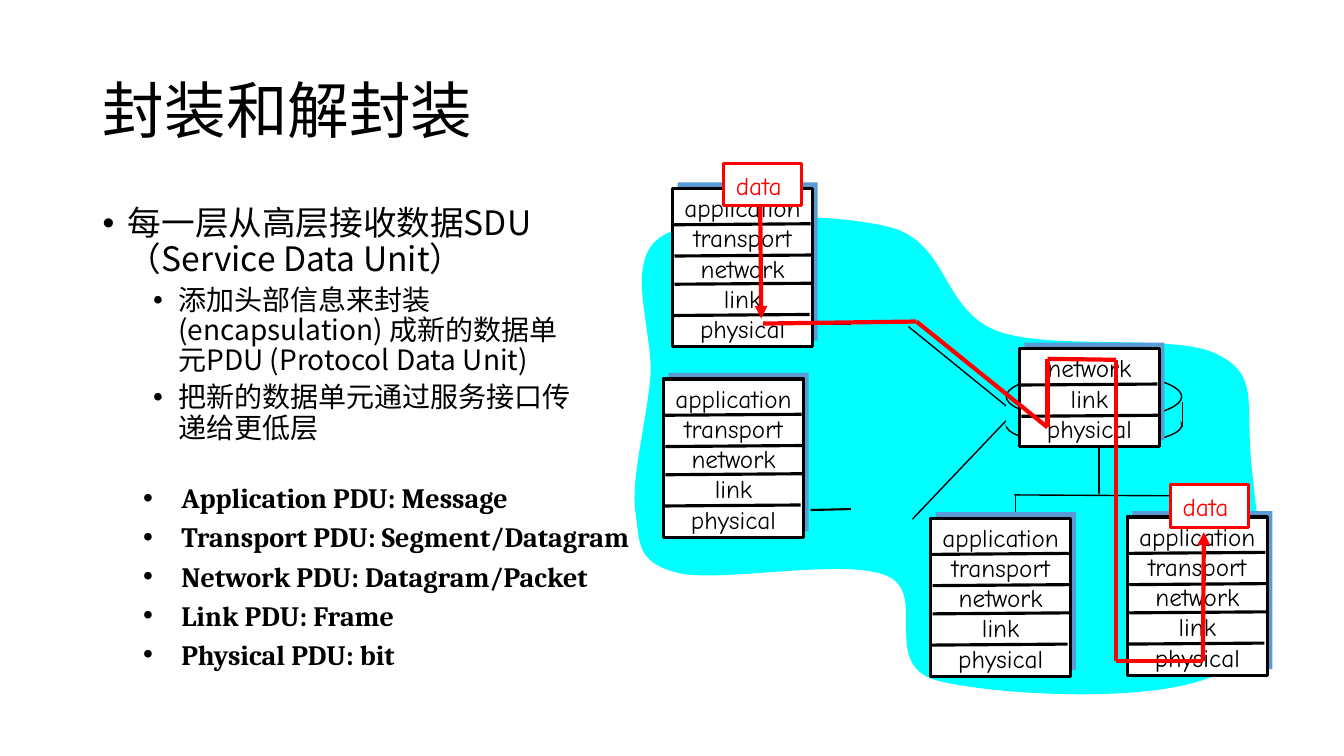
from lxml.etree import SubElement
from pptx import Presentation
from pptx.dml.color import RGBColor
from pptx.enum.shapes import MSO_CONNECTOR, MSO_SHAPE
from pptx.enum.text import MSO_ANCHOR, PP_ALIGN
from pptx.oxml.ns import qn
from pptx.util import Inches, Pt

BLACK, WHITE, RED, CYAN, BLUE = "000000", "FFFFFF", "FF0000", "00FFFF", "5B9BD5"
SANS, SERIF, COMIC = "Noto Sans CJK SC", "Cambria", "Comic Neue"
ROW, PANEL_WIDTH = 0.3, 1.39
HOST_LAYERS = ["application", "transport", "network", "link", "physical"]
ROUTER_LAYERS = HOST_LAYERS[2:]
DIVIDERS = [(0, 0.36), (0.02, 0.67), (0.02, 0.95), (-0.01, 1.26)]
CLOUD_START = (2.85, 0.76)
CLOUD_CURVES = [
    ((2.3, 0.61), (0.97, 0.59), (0.57, 0.84)),
    ((0.17, 1.08), (0.49, 1.79), (0.45, 2.25)),
    ((0.41, 2.7), (0.26, 3.24), (0.3, 3.56)),
    ((0.35, 3.88), (0.3, 4.07), (0.71, 4.18)),
    ((1.13, 4.29), (2.36, 4.03), (2.79, 4.21)),
    ((3.22, 4.38), (2.72, 5.09), (3.29, 5.25)),
    ((3.86, 5.4), (5.67, 5.51), (6.19, 5.12)),
    ((6.71, 4.74), (6.42, 3.46), (6.4, 2.94)),
    ((6.37, 2.42), (6.46, 2.19), (6.04, 2)),
    ((5.62, 1.81), (4.4, 1.98), (3.88, 1.78)),
    ((3.35, 1.57), (3.4, 0.92), CLOUD_START),
]
STUBS = [((2.04, 1.71), (2.44, 1.71)), ((2.04, 3.56), (2.44, 3.55))]
DOTS = [(2.49, 2.11, 0.17, 0.19), (2.49, 2.35, 0.17, 0.19), (2.5, 2.59, 0.17, 0.19),
        (4.7, 4.19, 0.23, 0.23), (4.99, 4.18, 0.23, 0.23)]
LINKS = [
    ((4.06, 3.41), (5.79, 3.42)),
    ((4.07, 3.4), (4.07, 3.7)),
    ((3.01, 1.74), (4.02, 2.56)),
    ((3.05, 3.65), (4.02, 2.63)),
    ((4.9, 3.4), (4.9, 2.89)),
]
HOSTS = [(0.67, 0.37), (0.58, 2.26), (3.23, 3.64), (5.18, 3.63)]
SENDING = [(1.54, 0.54), (1.55, 1.66)]
ROUTE = [(1.57, 1.71), (3.09, 1.69), (4.39, 2.74), (4.39, 2.06),
         (5.07, 2.07), (5.07, 5.06), (5.93, 5.06), (5.94, 3.78)]
DATA_LABELS = [(5.61, 3.31), (1.18, 0.12)]


def color(value):
    return RGBColor.from_string(value)


def write_text(paragraph, text, font=SANS, size=18, fill=BLACK, bold=False,
               align=PP_ALIGN.LEFT, spacing=None, before=0, bullet=None):
    paragraph.alignment = align
    paragraph.space_before = Pt(before)
    if spacing:
        paragraph.line_spacing = spacing
    if bullet:
        margin, hanging = bullet
        properties = paragraph._p.get_or_add_pPr()
        properties.set("marL", str(Inches(margin)))
        properties.set("indent", str(-Inches(hanging)))
        SubElement(properties, qn("a:buFont"), typeface="Arial")
        SubElement(properties, qn("a:buChar"), char="•")
    run = paragraph.add_run()
    run.text = text
    run.font.size = Pt(size)
    run.font.bold = bold
    run.font.color.rgb = color(fill)
    run.font.name = font
    SubElement(run._r.get_or_add_rPr(), qn("a:ea"), typeface=font)


def add_text(slide, left, top, width, height, entries, wrap=True):
    frame = slide.shapes.add_textbox(
        Inches(left), Inches(top), Inches(width), Inches(height)).text_frame
    frame.word_wrap = wrap
    for index, (text, style) in enumerate(entries):
        paragraph = frame.add_paragraph() if index else frame.paragraphs[0]
        write_text(paragraph, text, **style)


def paint(shape, fill, line=None, weight=1):
    shape.shadow.inherit = False
    shape.fill.solid()
    shape.fill.fore_color.rgb = color(fill)
    if line:
        shape.line.color.rgb = color(line)
        shape.line.width = Pt(weight)
    else:
        shape.line.fill.background()


def add_block(slide, kind, left, top, width, height, fill, line=None, weight=1):
    block = slide.shapes.add_shape(
        kind, Inches(left), Inches(top), Inches(width), Inches(height))
    paint(block, fill, line, weight)


def add_line(slide, left, top, start, end, line=BLACK, weight=1, arrow=False):
    connector = slide.shapes.add_connector(
        MSO_CONNECTOR.STRAIGHT,
        Inches(left + start[0]), Inches(top + start[1]),
        Inches(left + end[0]), Inches(top + end[1]))
    connector.line.color.rgb = color(line)
    connector.line.width = Pt(weight)
    if arrow:
        SubElement(connector.line._get_or_add_ln(), qn("a:tailEnd"), type="triangle")
    SubElement(connector._element.spPr, qn("a:effectLst"))


def add_title(slide, left, top, width, height):
    title = slide.shapes.title
    title.left, title.top = Inches(left), Inches(top)
    title.width, title.height = Inches(width), Inches(height)
    title.text_frame.vertical_anchor = MSO_ANCHOR.MIDDLE
    write_text(title.text_frame.paragraphs[0], "封装和解封装", size=44, spacing=0.9)


def add_explanation(slide, left, top, width, height):
    detail = dict(size=20, spacing=0.9, before=5, bullet=(0.75, 0.25))
    add_text(slide, left, top, width, height, [
        ("每一层从高层接收数据SDU（Service Data Unit）",
         dict(size=24, spacing=0.9, bullet=(0.25, 0.25))),
        ("添加头部信息来封装(encapsulation) 成新的数据单元PDU (Protocol Data Unit)", detail),
        ("把新的数据单元通过服务接口传递给更低层", detail),
    ])


def add_pdu_names(slide, left, top, width, height):
    names = ["Application PDU: Message", "Transport PDU: Segment/Datagram",
             "Network PDU: Datagram/Packet", "Link PDU: Frame", "Physical PDU: bit"]
    add_text(slide, left, top, width, height, [
        (name, dict(font=SERIF, size=20, bold=True, bullet=(0.38, 0.38),
                    before=4 if index else 0))
        for index, name in enumerate(names)])


def add_cloud(slide, left, top):
    points = [(Inches(left + x), Inches(top + y))
              for x, y in [CLOUD_START] + sum(map(list, CLOUD_CURVES), [])]
    builder = slide.shapes.build_freeform(*points[0])
    builder.add_line_segments(points[1:], close=True)
    cloud = builder.convert_to_shape()
    segments = list(cloud._element.iter(qn("a:lnTo")))
    for curve, *controls in zip(segments[::3], segments[1::3], segments[2::3]):
        curve.tag = qn("a:cubicBezTo")
        for control in controls:
            curve.append(control[0])
            control.getparent().remove(control)
    paint(cloud, CYAN)


def add_router(slide, left, top):
    add_block(slide, MSO_SHAPE.OVAL, left, top + 0.32, 1.74, 0.4, CYAN, BLACK)
    for side in (0, 1.75):
        add_line(slide, left, top, (side, 0.29), (side, 0.54))
    add_block(slide, MSO_SHAPE.RECTANGLE, left, top + 0.29, 1.73, 0.24, CYAN)
    add_block(slide, MSO_SHAPE.OVAL, left, top, 1.74, 0.47, CYAN, BLACK)


def add_stack(slide, left, top, layers, text_width):
    height = ROW * len(layers) + 0.07
    add_block(slide, MSO_SHAPE.RECTANGLE, left + 0.05, top - 0.06, PANEL_WIDTH, height, BLUE)
    add_block(slide, MSO_SHAPE.RECTANGLE, left, top, PANEL_WIDTH, height, WHITE, BLACK, 2.25)
    add_text(slide, left + (PANEL_WIDTH - text_width) / 2, top - 0.01, text_width, height + 0.03,
             [(layer, dict(font=COMIC, align=PP_ALIGN.CENTER)) for layer in layers], wrap=False)
    for (x, y), _ in zip(DIVIDERS, layers[1:]):
        add_line(slide, left, top, (x, y), (x + 1.37, y - 0.01), weight=2.25)


def add_data_label(slide, left, top):
    add_block(slide, MSO_SHAPE.RECTANGLE, left, top, 0.77, 0.42, WHITE, RED, 2.25)
    add_text(slide, left + 0.02, top + 0.02, 0.72, 0.4,
             [("data", dict(font=COMIC, fill=RED))], wrap=False)


def add_network(slide, left, top):
    add_cloud(slide, left, top)
    for start, end in STUBS:
        add_line(slide, left, top, start, end, weight=1.5)
    for x, y, width, height in DOTS:
        add_block(slide, MSO_SHAPE.OVAL, left + x, top + y, width, height, CYAN)
    for start, end in LINKS:
        add_line(slide, left, top, start, end)
    add_router(slide, left + 3.98, top + 2.2)
    for x, y in HOSTS:
        add_stack(slide, left + x, top + y, HOST_LAYERS, 1.44)
    add_stack(slide, left + 4.11, top + 1.96, ROUTER_LAYERS, 1.15)
    for stretch in (SENDING, ROUTE):
        for start, end in zip(stretch, stretch[1:]):
            add_line(slide, left, top, start, end, RED, 3, arrow=end == stretch[-1])
    for x, y in DATA_LABELS:
        add_data_label(slide, left + x, top + y)


def main():
    deck = Presentation()
    deck.slide_width, deck.slide_height = Inches(13.33), Inches(7.5)
    slide = deck.slides.add_slide(deck.slide_layouts[5])
    add_title(slide, 0.92, 0.4, 11.5, 1.45)
    add_explanation(slide, 0.92, 2, 4.9, 3.8)
    add_network(slide, 6, 1.5)
    add_pdu_names(slide, 1.32, 4.72, 5.52, 1.86)
    deck.save("out.pptx")


if __name__ == "__main__":
    main()
